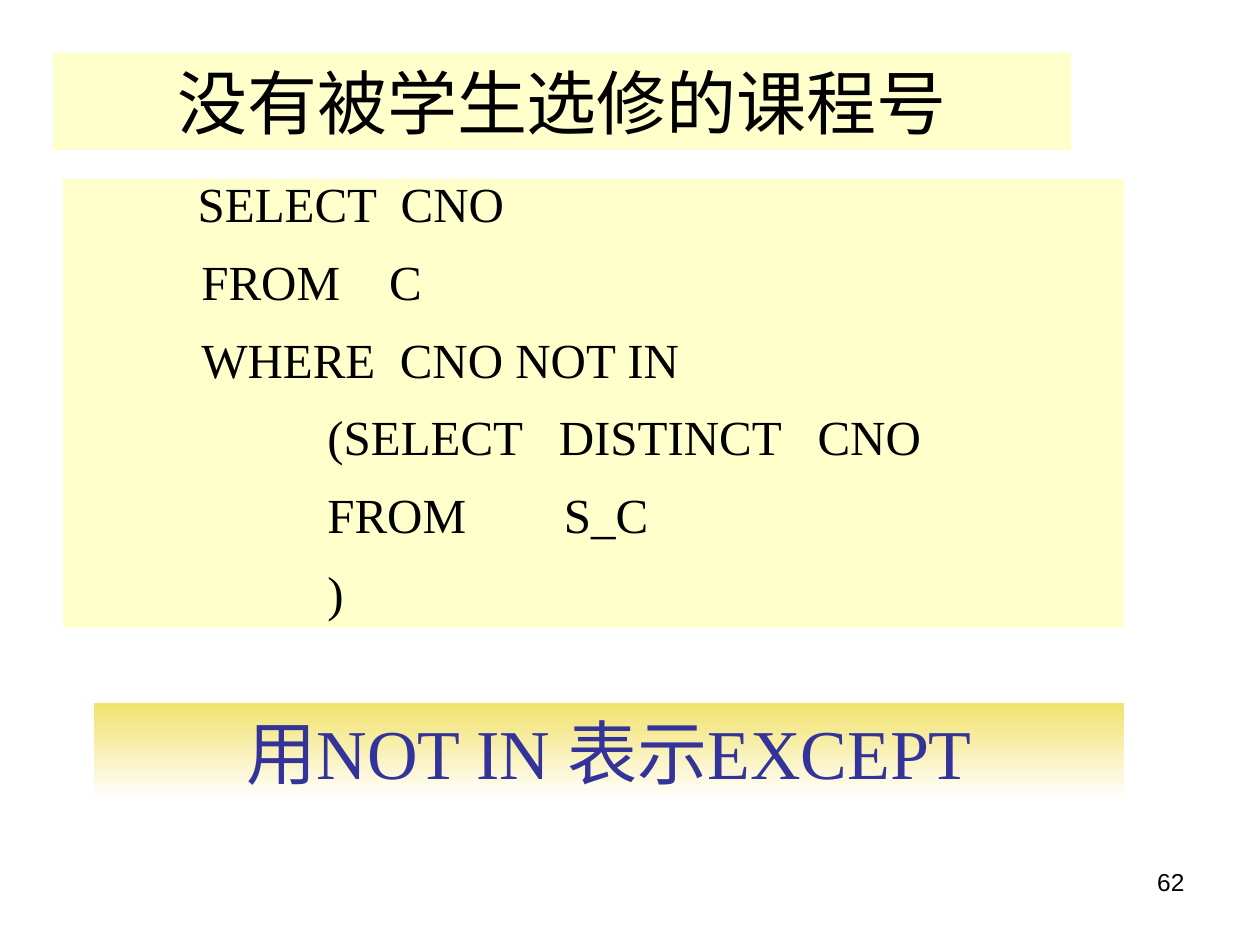
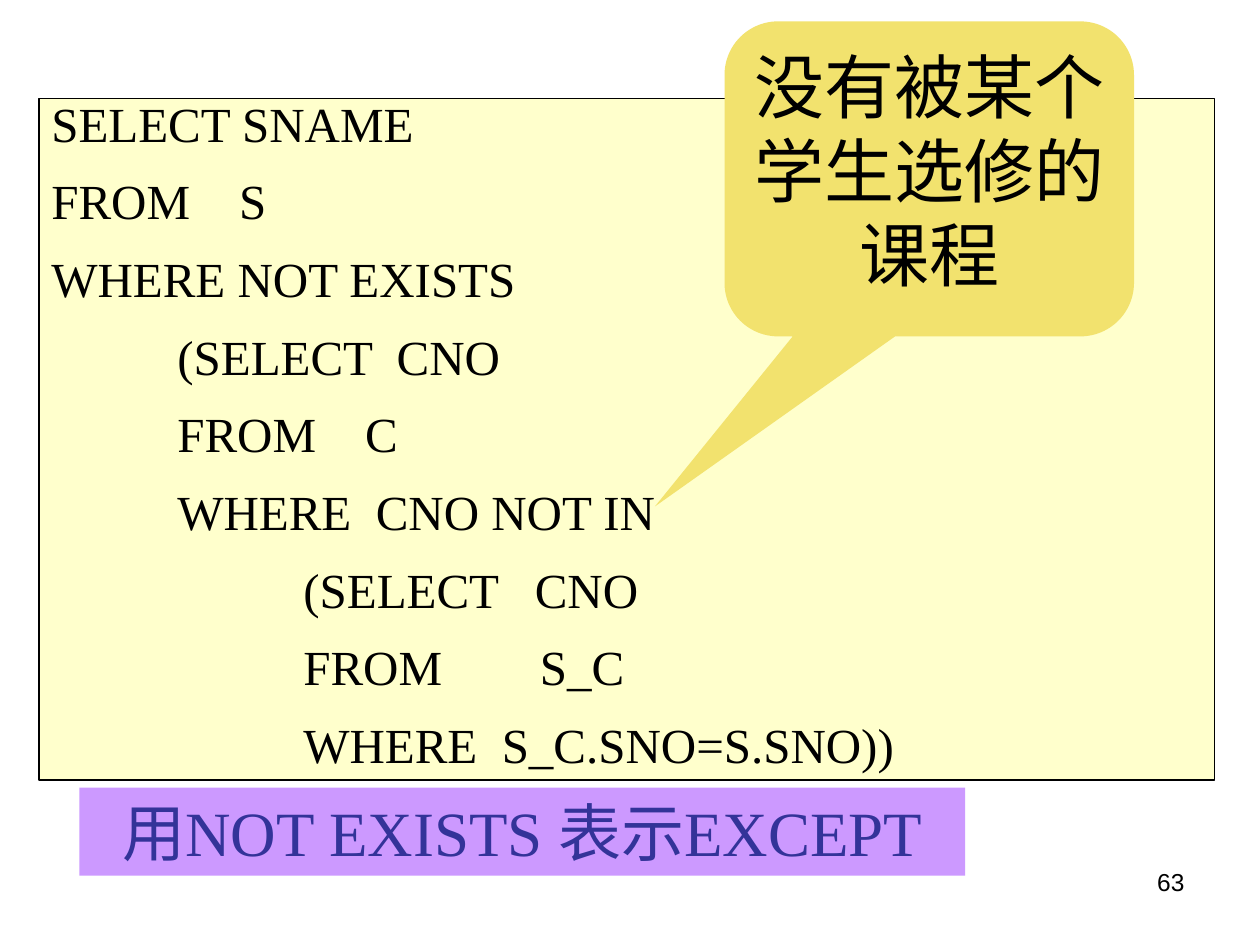
from pptx import Presentation
from pptx.dml.color import RGBColor
from pptx.enum.shapes import MSO_SHAPE
from pptx.enum.text import MSO_ANCHOR, MSO_AUTO_SIZE, PP_ALIGN
from pptx.util import Inches, Pt

RECTANGLE = MSO_SHAPE.RECTANGLE
CALLOUT = MSO_SHAPE.ROUNDED_RECTANGULAR_CALLOUT
TOP = MSO_ANCHOR.TOP
NO_AUTOFIT = MSO_AUTO_SIZE.NONE
LEFT, CENTER, RIGHT = PP_ALIGN.LEFT, PP_ALIGN.CENTER, PP_ALIGN.RIGHT

BLACK = RGBColor(0x00, 0x00, 0x00)
WHITE = RGBColor(0xFF, 0xFF, 0xFF)
CREAM = RGBColor(0xFF, 0xFF, 0xCC)
GOLD = RGBColor(0xF2, 0xE2, 0x6E)
LILAC = RGBColor(0xCC, 0x99, 0xFF)
INDIGO = RGBColor(0x33, 0x33, 0x99)

SERIF = "Times New Roman"
SANS = "Arial"
TITLE_ONLY = 5
TAB = 1

EXCEPT_BY_NOT_IN = [
    (0, "          SELECT  CNO"),
    (1, "FROM    C"),
    (1, "WHERE  CNO NOT IN"),
    (2, "(SELECT   DISTINCT   CNO"),
    (2, "FROM        S_C"),
    (2, ")"),
]
EXCEPT_BY_NOT_EXISTS = [
    (0, "SELECT SNAME"),
    (0, "FROM    S"),
    (0, "WHERE NOT EXISTS"),
    (1, "(SELECT  CNO"),
    (1, "FROM    C"),
    (1, "WHERE  CNO NOT IN"),
    (2, "(SELECT   CNO"),
    (2, "FROM        S_C"),
    (2, "WHERE  S_C.SNO=S.SNO))"),
]


def inches(box):
    return [Inches(length) for length in box]


def prepare_frame(shape):
    frame = shape.text_frame
    frame.word_wrap = True
    frame.auto_size = NO_AUTOFIT
    frame.vertical_anchor = TOP
    return frame


def write(paragraph, text, size, color=BLACK, align=CENTER, font=SERIF):
    paragraph.alignment = align
    run = paragraph.add_run()
    run.text = text
    run.font.name = font
    run.font.size = Pt(size)
    run.font.color.rgb = color


def add_panel(slide, kind, box, fill):
    shape = slide.shapes.add_shape(kind, *inches(box))
    shape.shadow.inherit = False
    shape.fill.solid()
    shape.fill.fore_color.rgb = fill
    shape.line.fill.background()
    return shape


def set_title(slide, box, text, size, fill, color=BLACK):
    title = slide.shapes.title
    title.left, title.top, title.width, title.height = inches(box)
    title.fill.solid()
    title.fill.fore_color.rgb = fill
    write(prepare_frame(title).paragraphs[0], text, size, color)


def add_code(slide, box, lines):
    panel = add_panel(slide, RECTANGLE, box, CREAM)
    frame = prepare_frame(panel)
    for index, (level, text) in enumerate(lines):
        paragraph = frame.add_paragraph() if index else frame.paragraphs[0]
        paragraph.line_spacing = 0.8
        if index:
            paragraph.space_before = Pt(17.5)
        paragraph._p.get_or_add_pPr().set("marL", str(Inches(level * TAB)))
        write(paragraph, text, 28, align=LEFT)
    return panel


def add_gradient_banner(slide, box, text):
    banner = add_panel(slide, RECTANGLE, box, GOLD)
    banner.fill.gradient()
    banner.fill.gradient_angle = 270
    for stop, color in zip(banner.fill.gradient_stops, (GOLD, WHITE)):
        stop.color.rgb = color
    write(prepare_frame(banner).paragraphs[0], text, 40, INDIGO)


def add_callout(slide, box, text, adjustments):
    callout = add_panel(slide, CALLOUT, box, GOLD)
    for index, value in enumerate(adjustments):
        callout.adjustments[index] = value
    write(prepare_frame(callout).paragraphs[0], text, 40)


def add_page_number(slide, number):
    box = slide.shapes.add_textbox(*inches((7.17, 6.83, 2.33, 0.52)))
    write(prepare_frame(box).paragraphs[0], str(number), 14, align=RIGHT, font=SANS)


def add_slide(presentation, number):
    slide = presentation.slides.add_slide(presentation.slide_layouts[TITLE_ONLY])
    add_page_number(slide, number)
    return slide


def build_not_in(presentation):
    slide = add_slide(presentation, 62)
    set_title(slide, (0.42, 0.42, 8.08, 0.77), "没有被学生选修的课程号", 40, CREAM)
    add_code(slide, (0.5, 1.42, 8.42, 3.56), EXCEPT_BY_NOT_IN)
    add_gradient_banner(slide, (0.75, 5.58, 8.17, 0.77), "用NOT IN 表示EXCEPT")


def build_not_exists(presentation):
    slide = add_slide(presentation, 63)
    set_title(slide, (0.63, 6.25, 7.03, 0.7), "用NOT EXISTS 表示EXCEPT", 36, LILAC, INDIGO)
    panel = add_code(slide, (0.31, 0.78, 9.33, 5.41), EXCEPT_BY_NOT_EXISTS)
    panel.line.color.rgb = BLACK
    panel.line.width = Pt(0.75)
    add_callout(slide, (5.75, 0.17, 3.25, 2.5), "没有被某个学生选修的课程", (-0.67, 1.04, 0.17))


def main():
    presentation = Presentation()
    presentation.slide_width = Inches(10)
    presentation.slide_height = Inches(7.5)
    build_not_in(presentation)
    build_not_exists(presentation)
    presentation.save("out.pptx")


if __name__ == "__main__":
    main()
